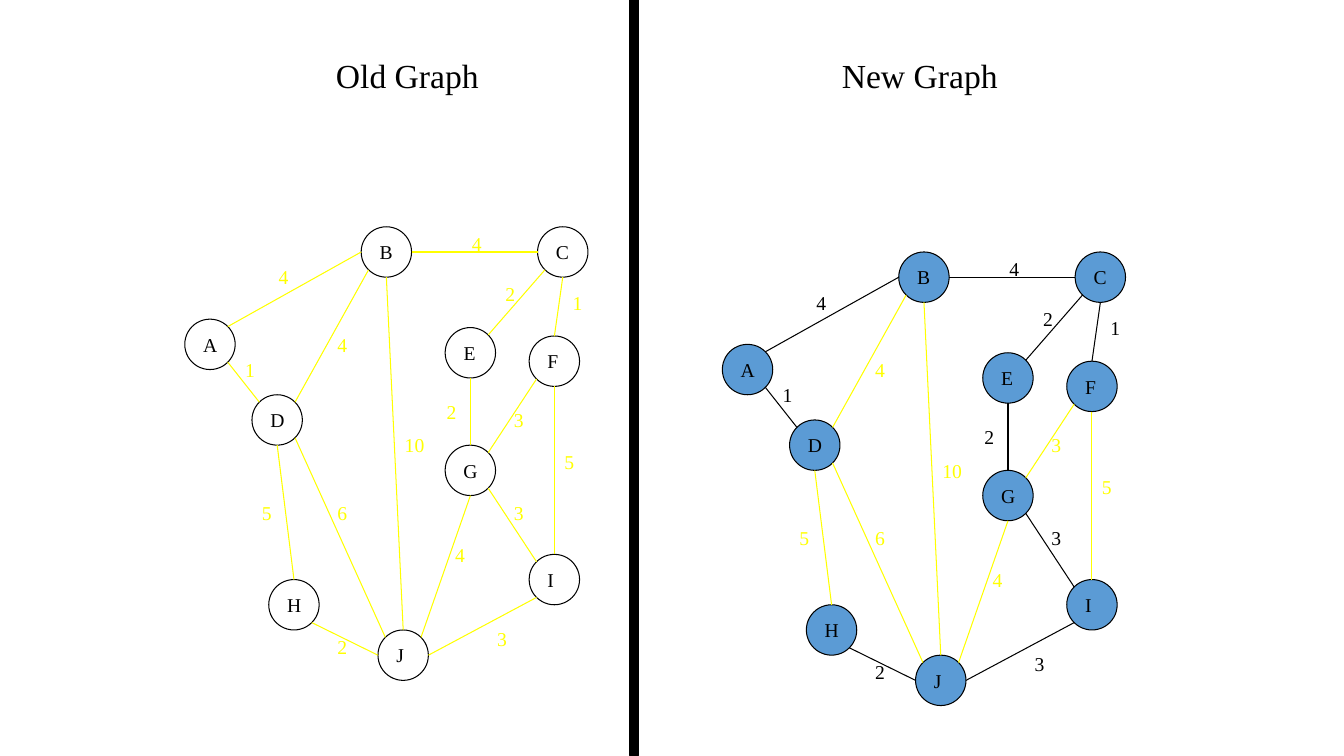
from math import cos, radians, sin

from lxml import etree
from pptx import Presentation
from pptx.dml.color import RGBColor
from pptx.enum.shapes import MSO_CONNECTOR, MSO_SHAPE
from pptx.enum.text import MSO_AUTO_SIZE as AUTO_SIZE, PP_ALIGN
from pptx.oxml.ns import qn
from pptx.util import Pt

COLORS = {"black": "000000", "yellow": "FFFF00", "blue": "5B9BD5"}
RGB = {name: RGBColor.from_string(value) for name, value in COLORS.items()}
DIAMETER = 36
ANGLES = {"E": 0, "SE": 45, "S": 90, "SW": 135, "W": 180, "NW": 225, "N": 270, "NE": 315}

# name: left, top, letter width
NODES = {
    "A": (132, 228, 24.5), "B": (258, 162, 24), "C": (384, 162, 24),
    "D": (180, 282, 24.5), "E": (318, 234, 23), "F": (378, 240, 22),
    "G": (318, 318, 24.5), "H": (192, 414, 24.5), "I": (378, 396, 19.5),
    "J": (270, 450, 20),
}
# start node, side, end node, side, weight, weight left, weight top, in new tree
EDGES = [
    ("A", "NE", "B", "W", 4, 192, 186, True),
    ("A", "SE", "D", "NW", 1, 168, 252, True),
    ("B", "E", "C", "W", 4, 330, 162, True),
    ("B", "SW", "D", "NE", 4, 234, 234, False),
    ("B", "S", "J", "N", 10, 282, 306, False),
    ("C", "SW", "E", "NE", 2, 354, 198, True),
    ("C", "S", "F", "N", 1, 402, 204, True),
    ("D", "S", "H", "N", 5, 180, 354, False),
    ("D", "SE", "J", "NW", 6, 234, 354, False),
    ("E", "S", "G", "N", 2, 312, 282, True),
    ("F", "SW", "G", "NE", 3, 360, 288, False),
    ("F", "S", "I", "N", 5, 396, 318, False),
    ("G", "SE", "I", "NW", 3, 360, 354, True),
    ("G", "S", "J", "NE", 4, 318, 384, False),
    ("H", "SE", "J", "W", 2, 234, 450, True),
    ("I", "SW", "J", "E", 3, 348, 444, True),
]
# title, title left, graph shift right, graph shift down, node fill
GRAPHS = [("Old Graph", 186, 0, 0, None), ("New Graph", 552, 384, 18, "blue")]


def rim_point(node, side):
    """Return the point on a node's circle at a compass side."""
    left, top, _ = NODES[node]
    angle, radius = radians(ANGLES[side]), DIAMETER / 2
    return left + radius + radius * cos(angle), top + radius + radius * sin(angle)


def add_text(text, left, top, width, height=24, size=14, color="black", wrap=False):
    tf = s.shapes.add_textbox(Pt(left), Pt(top), Pt(width), Pt(height)).text_frame
    tf.word_wrap = wrap
    tf.auto_size = AUTO_SIZE.SHAPE_TO_FIT_TEXT
    p = tf.paragraphs[0]
    p.text = text
    p.alignment = PP_ALIGN.CENTER if wrap else PP_ALIGN.LEFT
    font = p.runs[0].font
    font.name = "Times New Roman"
    font.size = Pt(size)
    font.color.rgb = RGB[color]


prs = Presentation()
prs.slide_width, prs.slide_height = Pt(960), Pt(540)
s = prs.slides.add_slide(prs.slide_layouts[6])

divider = s.shapes.add_shape(MSO_SHAPE.RECTANGLE, Pt(450), Pt(0), Pt(6), Pt(540))
divider.shadow.inherit = False
divider.fill.solid()
divider.fill.fore_color.rgb = RGB["black"]
divider.line.color.rgb = RGB["black"]
divider.line.width = Pt(0.75)

for title, title_left, dx, dy, fill in GRAPHS:
    add_text(title, title_left, 36, 210, 36, size=24, wrap=True)

    for name, (left, top, _) in NODES.items():
        node = s.shapes.add_shape(MSO_SHAPE.OVAL, Pt(left + dx), Pt(top + dy),
                                  Pt(DIAMETER), Pt(DIAMETER))
        node.shadow.inherit = False
        if fill:
            node.fill.solid()
            node.fill.fore_color.rgb = RGB[fill]
        else:
            node.fill.background()
        node.line.color.rgb = RGB["black"]
        node.line.width = Pt(0.75)

    for start, start_side, end, end_side, weight, left, top, in_tree in EDGES:
        color = "black" if fill and in_tree else "yellow"
        x1, y1 = rim_point(start, start_side)
        x2, y2 = rim_point(end, end_side)
        edge = s.shapes.add_connector(MSO_CONNECTOR.STRAIGHT, Pt(x1 + dx), Pt(y1 + dy),
                                      Pt(x2 + dx), Pt(y2 + dy))
        edge.line.color.rgb = RGB[color]
        edge.line.width = Pt(0.75)
        etree.SubElement(edge._element.spPr, qn("a:effectLst"))
        add_text(str(weight), left + dx, top + dy, 14.5 + 7 * len(str(weight)), color=color)

    for name, (left, top, width) in NODES.items():
        add_text(name, left + dx + 6, top + dy + 6, width)

prs.save("out.pptx")
